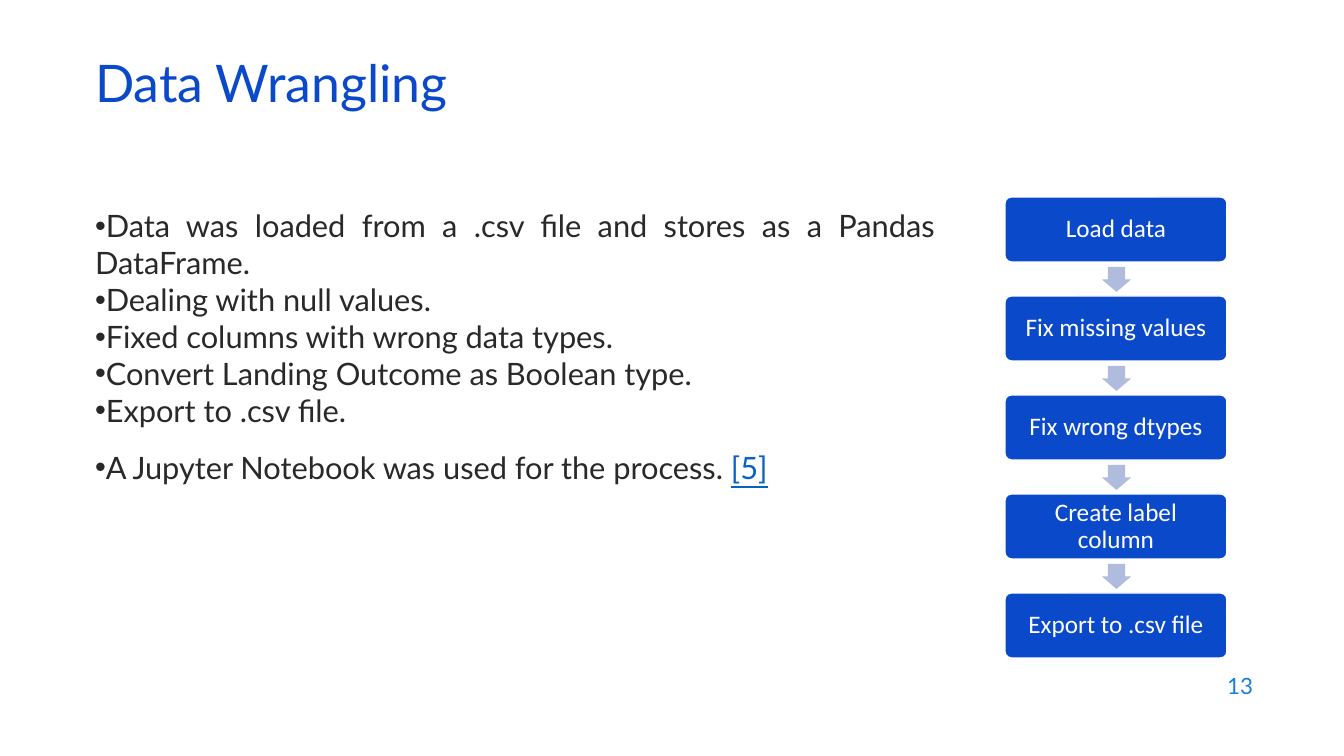
import pptx
import pptx.dml.color
import pptx.enum.shapes
import pptx.enum.text
import pptx.oxml
import pptx.oxml.ns
import pptx.util

SCALE = 914400 / 100.8  # EMU in one px
ALIGN = pptx.enum.text.PP_ALIGN
SHAPE = pptx.enum.shapes.MSO_SHAPE
BLUE, PALE_BLUE, WHITE = "0B49CB", "B0BCDE", "FFFFFF"
INK, LINK_BLUE, NUMBER_BLUE = "292929", "0563C1", "1C7DDB"

BULLETS = [
    "Data was loaded from a .csv file and stores as a Pandas DataFrame.",
    "Dealing with null values.",
    "Fixed columns with wrong data types.",
    "Convert Landing Outcome as Boolean type.",
    "Export to .csv file.",
    "A Jupyter Notebook was used for the process. ",
]
STEPS = ["Load data", "Fix missing values", "Fix wrong dtypes",
         "Create label column", "Export to .csv file"]


def px(length):
    return pptx.util.Emu(round(length * SCALE))


def color(value):
    return pptx.dml.color.RGBColor.from_string(value)


def place(box, left, top, width, height):
    box.left, box.top, box.width, box.height = map(px, (left, top, width, height))


def set_frame(box, anchor):
    frame = box.text_frame
    frame.word_wrap = True
    frame.auto_size = pptx.enum.text.MSO_AUTO_SIZE.NONE
    frame.vertical_anchor = anchor
    return frame


def set_para(para, align, spacing=1.0, before=0):
    para.alignment = align
    para.line_spacing = spacing
    para.space_before = pptx.util.Pt(before)
    para.space_after = pptx.util.Pt(0)


def add_span(para, text, size, fill, font="Lato"):
    span = para.add_run()
    span.text = text
    span.font.name = font
    span.font.size = pptx.util.Pt(size)
    span.font.color.rgb = color(fill)
    return span


def add_bullet(para):
    properties = para._p.get_or_add_pPr()
    properties.set("marL", "0")
    properties.set("indent", "0")
    properties.append(pptx.oxml.parse_xml(
        f'<a:buChar {pptx.oxml.ns.nsdecls("a")} char="•"/>'))


def fill_title(page):
    title = page.shapes.title
    place(title, 85, 59, 1159, 60)
    para = set_frame(title, pptx.enum.text.MSO_ANCHOR.MIDDLE).paragraphs[0]
    set_para(para, ALIGN.LEFT, spacing=0.7)
    add_span(para, "Data Wrangling", 37, BLUE)


def fill_list(page):
    body = page.placeholders[1]
    place(body, 85, 202, 860, 480)
    frame = set_frame(body, pptx.enum.text.MSO_ANCHOR.TOP)
    for index, text in enumerate(BULLETS):
        para = frame.paragraphs[0] if index == 0 else frame.add_paragraph()
        add_bullet(para)
        set_para(para, ALIGN.JUSTIFY, before=14 if text == BULLETS[-1] else 0)
        add_span(para, text, 22, INK)
    add_span(para, "[5]", 22, LINK_BLUE).font.underline = True


def add_plain_shape(page, kind, bounds, fill, adjustments):
    shape = page.shapes.add_shape(kind, *map(px, bounds))
    shape.shadow.inherit = False
    shape.fill.solid()
    shape.fill.fore_color.rgb = color(fill)
    shape.line.fill.background()
    for index, value in enumerate(adjustments):
        shape.adjustments[index] = value
    return shape


def add_step(page, text, top):
    step = add_plain_shape(page, SHAPE.ROUNDED_RECTANGLE,
                           (1005, top, 222, 65), BLUE, [0.1])
    step.line.color.rgb = color(WHITE)
    step.line.width = pptx.util.Pt(1)
    frame = set_frame(step, pptx.enum.text.MSO_ANCHOR.MIDDLE)
    frame.margin_left = frame.margin_right = px(9)
    frame.margin_top = frame.margin_bottom = px(9)
    para = frame.paragraphs[0]
    set_para(para, ALIGN.CENTER, spacing=0.9)
    add_span(para, text, 18, WHITE, "Calibri")


def add_flow(page):
    first_top, pitch = 197, 99
    for index, text in enumerate(STEPS):
        top = first_top + index * pitch
        add_step(page, text, top)
        if index < len(STEPS) - 1:
            add_plain_shape(page, SHAPE.DOWN_ARROW, (1102, top + 70, 29, 25),
                            PALE_BLUE, [0.6, 0.5])


def add_page_number(page):
    box = page.shapes.add_textbox(*map(px, (961, 664, 302, 44)))
    para = set_frame(box, pptx.enum.text.MSO_ANCHOR.MIDDLE).paragraphs[0]
    set_para(para, ALIGN.RIGHT)
    add_span(para, "13", 16, NUMBER_BLUE)


def main():
    deck = pptx.Presentation()
    deck.slide_width, deck.slide_height = px(1344), px(756)
    page = deck.slides.add_slide(deck.slide_layouts[1])
    # Title and list
    fill_title(page)
    fill_list(page)
    # Process steps
    add_flow(page)
    # Page number
    add_page_number(page)
    deck.save("out.pptx")


if __name__ == "__main__":
    main()
